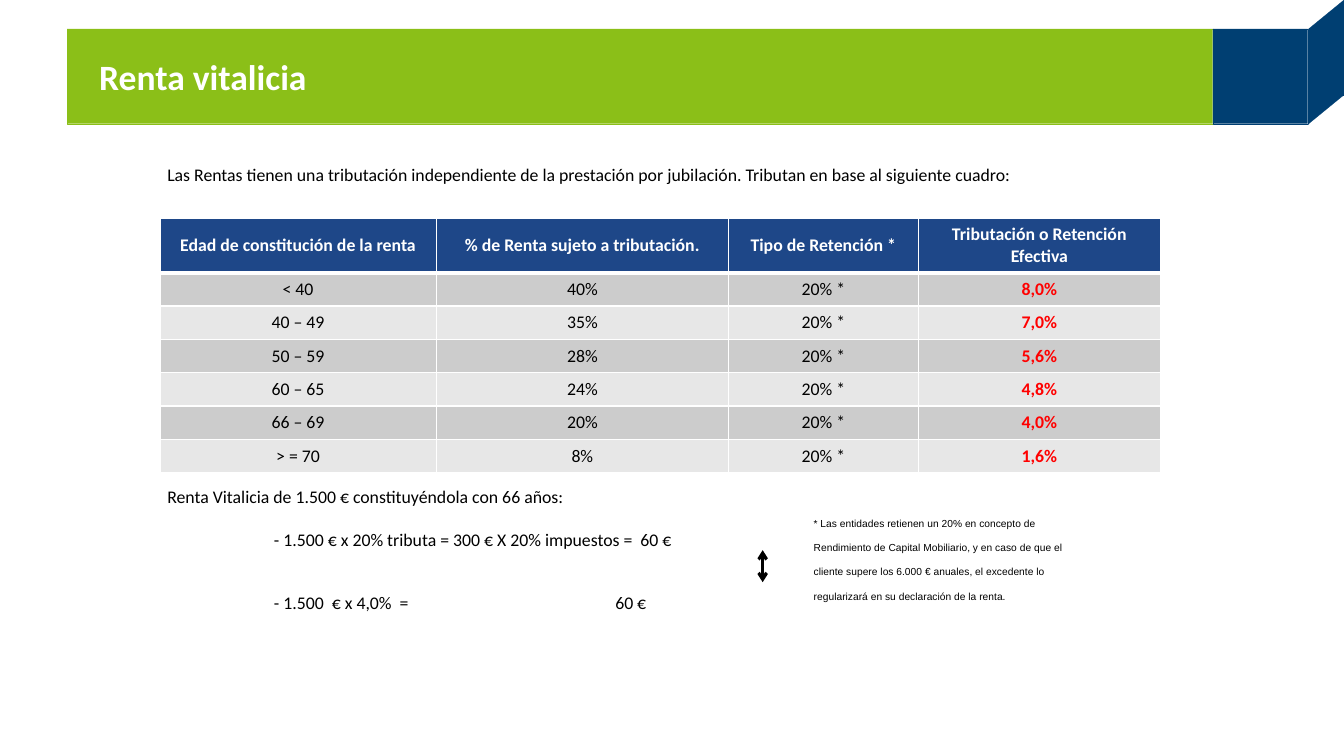
"""Build the slide on the taxation of life annuities."""
from dataclasses import dataclass
from typing import Any

from lxml.etree import SubElement
from pptx import Presentation
from pptx.dml.color import RGBColor
from pptx.enum.shapes import MSO_CONNECTOR as Connector, MSO_SHAPE as Preset
from pptx.enum.text import MSO_ANCHOR as Anchor, MSO_AUTO_SIZE as AutoSize, PP_ALIGN as Align
from pptx.oxml.ns import qn
from pptx.util import Inches, Pt


@dataclass(frozen=True)
class Theme:
    green: str = "8BBF18"
    navy: str = "003F72"
    header: str = "1E4788"
    bands: tuple[str, str] = ("CCCCCC", "E7E7E7")
    white: str = "FFFFFF"
    black: str = "000000"
    red: str = "FF0000"
    heading_font: str = "Calibri"
    note_font: str = "Arial"
    title_size: float = 24
    body_size: float = 12


THEME = Theme()


@dataclass(frozen=True)
class Style:
    color: str = THEME.black
    size: float = THEME.body_size
    bold: bool = False
    name: str = THEME.heading_font


@dataclass(frozen=True)
class Box:
    left: float
    top: float
    width: float
    height: float

    def lengths(self) -> list[int]:
        return [Inches(value) for value in (self.left, self.top, self.width, self.height)]


@dataclass(frozen=True)
class Block:
    box: Box
    color: str
    preset: Any = Preset.RECTANGLE
    rotation: float = 0


@dataclass(frozen=True)
class Line:
    text: str
    space_before: float = 0
    tabs: tuple[float, ...] = ()


@dataclass(frozen=True)
class Label:
    box: Box
    lines: tuple[Line, ...]
    style: Style = Style()
    anchor: Any = Anchor.TOP
    left_margin: float = 0.1
    auto_size: Any = AutoSize.NONE
    baseline: int = 0


BLOCKS = (
    Block(Box(0.63, 0.27, 10.74, 0.89), THEME.green),
    Block(Box(11.37, 0.27, 0.89, 0.89), THEME.navy),
    Block(Box(12.3, -0.03, 0.27, 0.33), THEME.navy, Preset.RIGHT_TRIANGLE, 270),
    Block(Box(12.3, 0.86, 0.27, 0.33), THEME.navy, Preset.RIGHT_TRIANGLE, 90),
    Block(Box(12.27, 0.27, 0.33, 0.62), THEME.navy),
)
TITLE = Label(Box(0.63, 0.27, 10.75, 0.89), (Line("Renta vitalicia"),),
              Style(THEME.white, THEME.title_size, True), Anchor.MIDDLE, 0.3)
INTRO = Label(Box(1.47, 1.49, 9.02, 0.71), (
    Line("Las Rentas tienen una tributación independiente de la prestación por jubilación. "
         "Tributan en base al siguiente cuadro:"),))
EXAMPLE = Label(Box(1.47, 4.51, 9.24, 0.74), (
    Line("Renta Vitalicia de 1.500 € constituyéndola con 66 años:"),
    Line("\t- 1.500 € x 20% tributa = 300 € X 20% impuestos =  60 €", 14.6, (1,)),
    Line("\t- 1.500  € x 4,0%  =\t60 €", 28, (1, 4.2)),
))
NOTE = Label(Box(7.53, 4.69, 2.71, 0.77), (
    Line("* Las entidades retienen un 20% en concepto de Rendimiento de Capital Mobiliario, "
         "y en caso de que el cliente supere los 6.000 € anuales, el excedente lo "
         "regularizará en su declaración de la renta."),
), Style(name=THEME.note_font), auto_size=AutoSize.SHAPE_TO_FIT_TEXT, baseline=-25000)

TABLE_BOX = Box(1.5, 2.05, 9.38, 2.38)
COLUMN_WIDTHS = (2.59, 2.74, 1.78, 2.27)
HEADER_HEIGHT = 0.5
HEADERS = ("Edad de constitución de la renta", "% de Renta sujeto a tributación.",
           "Tipo de Retención *", "Tributación o Retención Efectiva")
RATES = (("< 40", "40%", "8,0%"), ("40 – 49", "35%", "7,0%"), ("50 – 59", "28%", "5,6%"),
         ("60 – 65", "24%", "4,8%"), ("66 – 69", "20%", "4,0%"), ("> = 70", "8%", "1,6%"))
WITHHOLDING = "20% *"


def assign(target: Any, values: dict[str, Any]) -> None:
    for name, value in values.items():
        setattr(target, name, value)


def paint(fill: Any, color: str) -> None:
    fill.solid()
    fill.fore_color.rgb = RGBColor.from_string(color)


def write(paragraph: Any, text: str, style: Style) -> Any:
    run = paragraph.add_run()
    run.text = text
    assign(run.font, {"name": style.name, "size": Pt(style.size), "bold": style.bold})
    run.font.color.rgb = RGBColor.from_string(style.color)
    return run


def add_block(slide: Any, block: Block) -> None:
    shape = slide.shapes.add_shape(block.preset, *block.box.lengths())
    shape.shadow.inherit = False
    shape.rotation = block.rotation
    paint(shape.fill, block.color)
    paint(shape.line.fill, block.color)
    shape.line.width = Pt(0.1)


def add_label(slide: Any, label: Label) -> None:
    frame = slide.shapes.add_textbox(*label.box.lengths()).text_frame
    assign(frame, {"word_wrap": True, "auto_size": label.auto_size,
                   "vertical_anchor": label.anchor, "margin_left": Inches(label.left_margin)})
    for index, line in enumerate(label.lines):
        paragraph = frame.add_paragraph() if index else frame.paragraphs[0]
        if line.tabs:
            stops = SubElement(paragraph._p.get_or_add_pPr(), qn("a:tabLst"))
            for position in line.tabs:
                SubElement(stops, qn("a:tab"), pos=str(Inches(position)), algn="l")
        if line.space_before:
            paragraph.space_before = Pt(line.space_before)
        run = write(paragraph, line.text, label.style)
        if label.baseline:
            run.font._element.set("baseline", str(label.baseline))


def add_borders(cell: Any, top: float, bottom: float) -> None:
    properties = cell._tc.get_or_add_tcPr()
    for side, width in {"L": 1, "R": 1, "T": top, "B": bottom}.items():
        border = SubElement(properties, qn(f"a:ln{side}"), w=str(Pt(width)))
        fill = SubElement(border, qn("a:solidFill"))
        SubElement(fill, qn("a:srgbClr"), val=THEME.white)


def add_rates_table(slide: Any) -> None:
    rows = [HEADERS] + [(age, share, WITHHOLDING, effective) for age, share, effective in RATES]
    table = slide.shapes.add_table(len(rows), len(HEADERS), *TABLE_BOX.lengths()).table
    for column, width in zip(table.columns, COLUMN_WIDTHS):
        column.width = Inches(width)
    row_height = (TABLE_BOX.height - HEADER_HEIGHT) / len(RATES)
    for row_index, texts in enumerate(rows):
        is_header = row_index == 0
        table.rows[row_index].height = Inches(HEADER_HEIGHT if is_header else row_height)
        for column_index, text in enumerate(texts):
            is_effective = column_index == len(HEADERS) - 1
            color = THEME.white if is_header else THEME.red if is_effective else THEME.black
            cell = table.cell(row_index, column_index)
            add_borders(cell, 3 if row_index == 1 else 1, 3 if is_header else 1)
            paint(cell.fill, THEME.header if is_header else THEME.bands[(row_index - 1) % 2])
            cell.vertical_anchor = Anchor.MIDDLE
            paragraph = cell.text_frame.paragraphs[0]
            paragraph.alignment = Align.CENTER
            write(paragraph, text, Style(color, bold=is_header or is_effective))


def add_double_arrow(slide: Any, x: float, top: float, bottom: float) -> None:
    arrow = slide.shapes.add_connector(
        Connector.STRAIGHT, Inches(x), Inches(top), Inches(x), Inches(bottom))
    paint(arrow.line.fill, THEME.black)
    arrow.line.width = Pt(2)
    for end in ("headEnd", "tailEnd"):
        SubElement(arrow.line._get_or_add_ln(), qn(f"a:{end}"), type="arrow")
    SubElement(arrow._element.spPr, qn("a:effectLst"))


def main() -> None:
    presentation = Presentation()
    assign(presentation, {"slide_width": Inches(12.6), "slide_height": Inches(7.09)})
    slide = presentation.slides.add_slide(presentation.slide_layouts[6])
    for block in BLOCKS:
        add_block(slide, block)
    add_label(slide, TITLE)
    add_rates_table(slide)
    add_label(slide, EXAMPLE)
    add_double_arrow(slide, 7.15, 5.16, 5.46)
    add_label(slide, NOTE)
    add_label(slide, INTRO)
    presentation.save("out.pptx")


if __name__ == "__main__":
    main()
